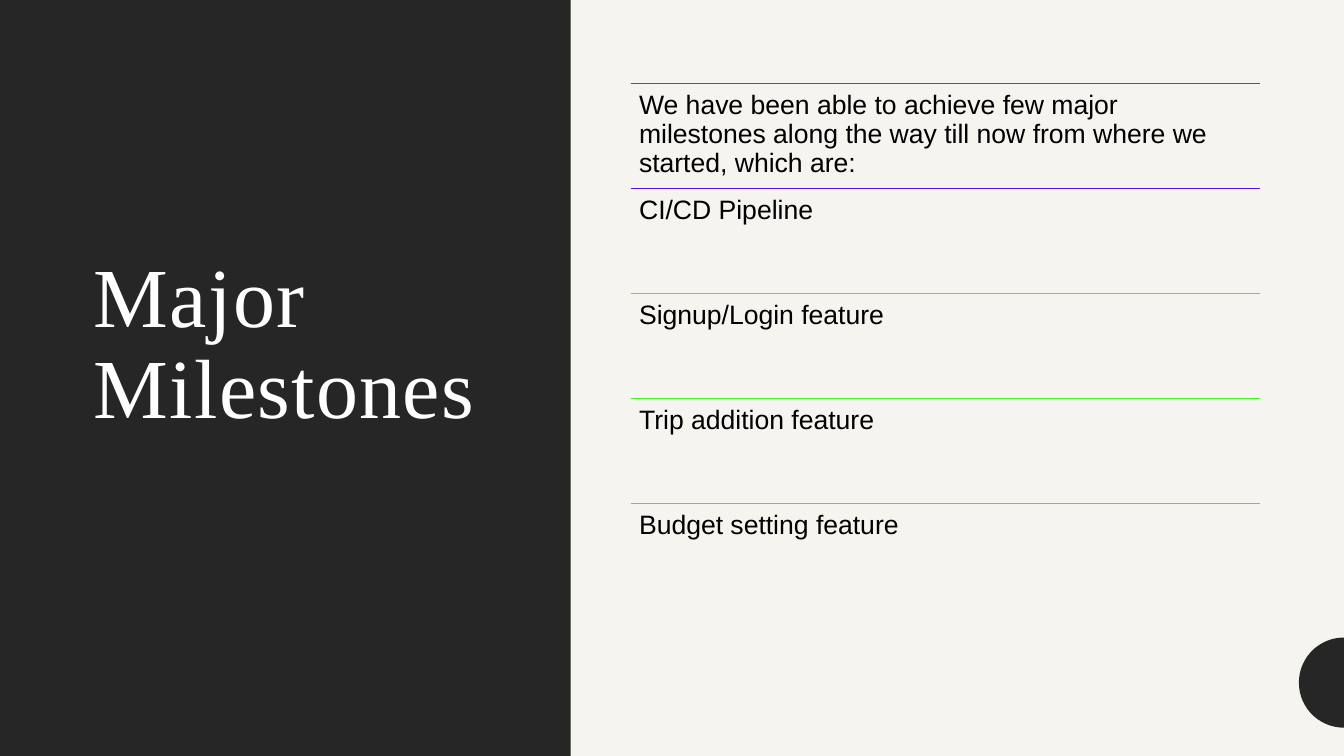
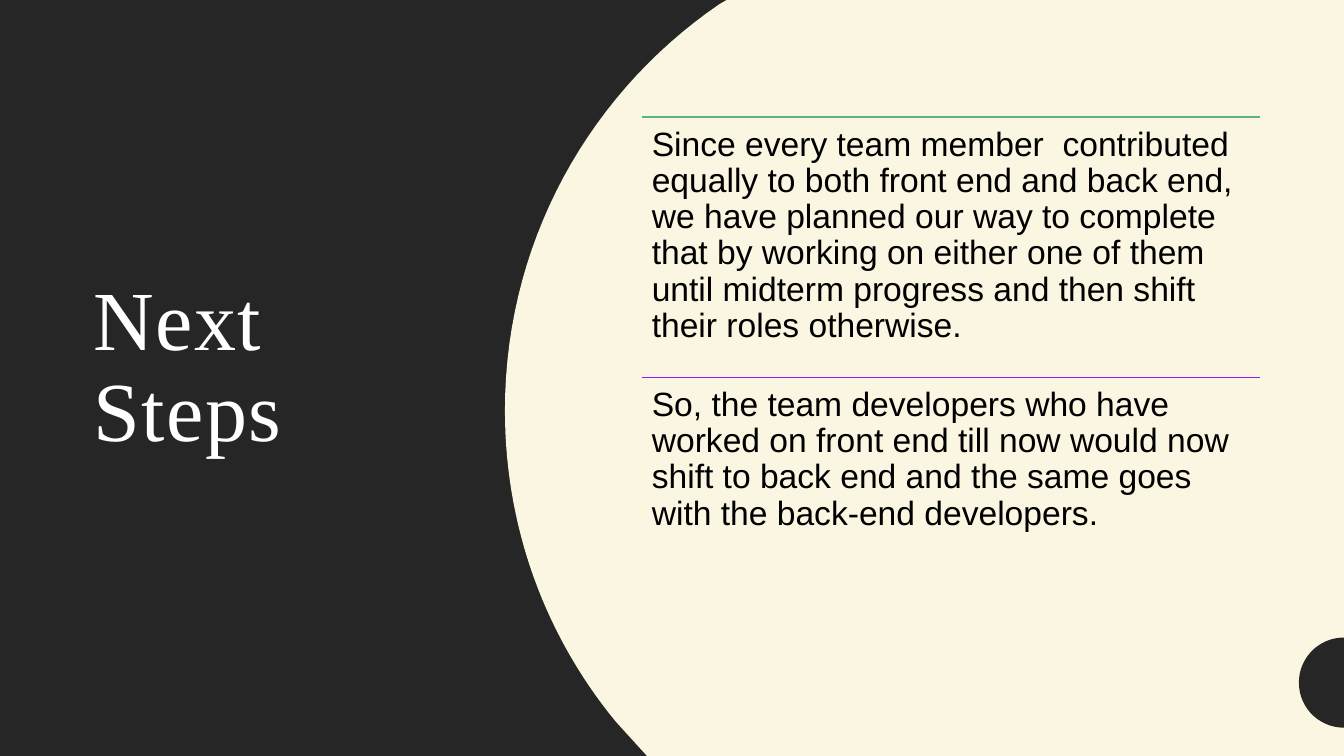
import math

from lxml import etree
from pptx import Presentation
from pptx.dml.color import RGBColor
from pptx.enum.shapes import MSO_CONNECTOR, MSO_SHAPE
from pptx.enum.text import MSO_ANCHOR
from pptx.oxml.ns import qn
from pptx.util import Pt

STRAIGHT = MSO_CONNECTOR.STRAIGHT
RECTANGLE = MSO_SHAPE.RECTANGLE
TOP = MSO_ANCHOR.TOP
MIDDLE = MSO_ANCHOR.MIDDLE

WIDTH, HEIGHT = 960, 540
LINE_SPACING = 0.9
CURVE_STEPS = 30
COLORS = {
    "dark": "262626",
    "stone": "F6F4EF",
    "cream": "FBF6E2",
    "white": "FFFFFF",
    "black": "000000",
    "pink": "E20E65",
    "violet": "560EED",
    "cyan": "12E5F2",
    "lime": "47F41B",
    "orange": "F59324",
    "green": "5CB678",
    "purple": "9717F7",
}
MILESTONES = [
    ("pink", "We have been able to achieve few major milestones along the way "
             "till now from where we started, which are:"),
    ("violet", "CI/CD Pipeline"),
    ("cyan", "Signup/Login feature"),
    ("lime", "Trip addition feature"),
    ("orange", "Budget setting feature"),
]
NEXT_STEPS = [
    ("green", "Since every team member  contributed equally to both front end and "
              "back end, we have planned our way to complete that by working on "
              "either one of them until midterm progress and then shift their "
              "roles otherwise."),
    ("purple", "So, the team developers who have worked on front end till now would "
               "now shift to back end and the same goes with the back-end "
               "developers."),
]


def rgb(color):
    """Return the named colour."""
    return RGBColor.from_string(COLORS[color])


def paint(shape, color):
    """Give a shape a flat fill without outline or shadow."""
    shape.shadow.inherit = False
    shape.fill.solid()
    shape.fill.fore_color.rgb = rgb(color)
    shape.line.fill.background()


def add_outline(slide, points, color):
    """Draw a closed, filled outline through points."""
    corners = [(Pt(x), Pt(y)) for x, y in points]
    builder = slide.shapes.build_freeform(*corners[0])
    builder.add_line_segments(corners[1:], close=True)
    paint(builder.convert_to_shape(), color)


def curve_points(start, control_1, control_2, end):
    """Return points along a cubic curve, without its start."""
    points = []
    for step in range(1, CURVE_STEPS + 1):
        t = step / CURVE_STEPS
        weights = ((1 - t) ** 3, 3 * t * (1 - t) ** 2, 3 * t * t * (1 - t), t ** 3)
        points.append(tuple(
            sum(weight * value for weight, value in zip(weights, values))
            for values in zip(start, control_1, control_2, end)))
    return points


def add_text(slide, box, text, font_name, size, color, anchor):
    """Place one wrapped paragraph in a box and return its shape."""
    shape = slide.shapes.add_textbox(*map(Pt, box))
    frame = shape.text_frame
    frame.word_wrap = True
    frame.vertical_anchor = anchor
    paragraph = frame.paragraphs[0]
    paragraph.text = text
    paragraph.line_spacing = LINE_SPACING
    paragraph.font.name = font_name
    paragraph.font.size = Pt(size)
    paragraph.font.color.rgb = rgb(color)
    return shape


def add_title(slide, box, text):
    """Place the white, slightly spaced serif title."""
    shape = add_text(slide, box, text, "Times New Roman", 60, "white", MIDDLE)
    for run in shape.text_frame.paragraphs[0].runs:
        run.font._element.set("spc", "100")


def add_rule(slide, left, top, width, color):
    """Draw a thin horizontal rule."""
    rule = slide.shapes.add_connector(
        STRAIGHT, Pt(left), Pt(top), Pt(left + width), Pt(top))
    rule.line.color.rgb = rgb(color)
    rule.line.width = Pt(1)
    etree.SubElement(rule._element.spPr, qn("a:effectLst"))


def add_ruled_list(slide, box, entries, size, inset):
    """Stack entries in equal rows, each below a coloured rule."""
    left, top, width, height = box
    row_height = height / len(entries)
    for index, (color, text) in enumerate(entries):
        row_top = top + index * row_height
        add_rule(slide, left, row_top, width, color)
        shape = add_text(slide, (left, row_top, width, row_height), text,
                         "Arial", size, "black", TOP)
        frame = shape.text_frame
        frame.margin_left = frame.margin_right = Pt(inset)
        frame.margin_top = frame.margin_bottom = Pt(inset)


def add_corner_disc(slide, center_y=487.6, radius=32.2):
    """Draw the half disc at the right edge."""
    angles = [math.pi * (0.5 + step / CURVE_STEPS) for step in range(CURVE_STEPS + 1)]
    add_outline(slide, [(WIDTH + radius * math.cos(angle),
                         center_y - radius * math.sin(angle)) for angle in angles],
                "dark")


def add_base_slide(presentation, background, panel_width):
    """Add a slide with a background and a dark panel on the left."""
    slide = presentation.slides.add_slide(presentation.slide_layouts[6])
    slide.background.fill.solid()
    slide.background.fill.fore_color.rgb = rgb(background)
    panel = slide.shapes.add_shape(RECTANGLE, 0, 0, Pt(panel_width), Pt(HEIGHT))
    paint(panel, "dark")
    return slide


def add_milestones_slide(presentation):
    """Build the milestones slide."""
    slide = add_base_slide(presentation, "stone", 407.7)
    add_title(slide, (60, 60, 302, 374.4), "Major Milestones")
    add_corner_disc(slide)
    add_ruled_list(slide, (450.7, 59.7, 449.3, 375), MILESTONES, 19, 5.8)


def add_next_steps_slide(presentation):
    """Build the next steps slide with its curved light area."""
    slide = add_base_slide(presentation, "cream", WIDTH)
    add_title(slide, (60, 83.5, 266.4, 359.3), "Next Steps")
    lower, leftmost, upper = (439.9, 515.5), (360.7, 293), (514.1, 2.9)
    add_outline(slide, [
        (519.1, 0), (WIDTH, 0), (WIDTH, HEIGHT), (462.2, HEIGHT), lower,
        *curve_points(lower, (390.2, 455), (360.7, 378), leftmost),
        *curve_points(leftmost, (360.7, 172.8), (421.2, 66.2), upper),
    ], "cream")
    add_corner_disc(slide)
    add_ruled_list(slide, (458.5, 83.5, 441.5, 372), NEXT_STEPS, 24, 7.2)


def main():
    """Build and save the presentation."""
    presentation = Presentation()
    presentation.slide_width = Pt(WIDTH)
    presentation.slide_height = Pt(HEIGHT)
    add_milestones_slide(presentation)
    add_next_steps_slide(presentation)
    presentation.save("out.pptx")


if __name__ == "__main__":
    main()
